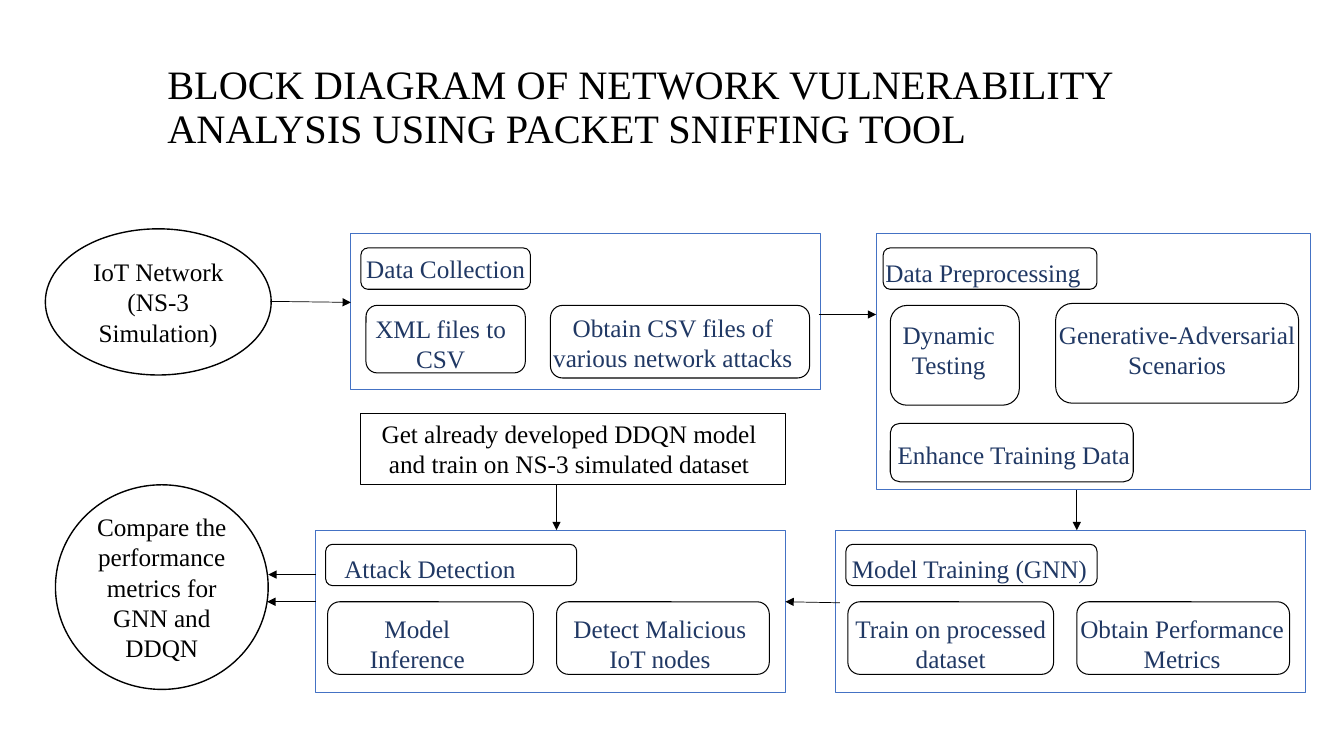
"""Build a block diagram of network vulnerability analysis."""
from lxml import etree
from pptx import Presentation, util as u
from pptx.dml.color import RGBColor
from pptx.enum import shapes as sh, text as tx
from pptx.oxml.ns import qn


class Theme:
    font = "Times New Roman"
    black = RGBColor.from_string("000000")
    white = RGBColor.from_string("FFFFFF")
    blue = RGBColor.from_string("4472C4")
    navy = RGBColor.from_string("203864")
    head = u.Pt(28.8)
    body = u.Pt(18)
    thin, line, bold = u.Pt(0.5), u.Pt(0.75), u.Pt(1)


def write(para, words, size, color):
    for i, part in enumerate(words.split("\n")):
        if i:
            para.add_line_break()
        run = para.add_run()
        run.text = part
        run.font.name, run.font.size = Theme.font, size
        run.font.color.rgb = color


def block(kind, at, edge, width, words="", color=Theme.black, shift=None):
    item = slide.shapes.add_shape(kind, *map(u.Inches, at))
    item.shadow.inherit = False
    item.fill.background()
    item.line.color.rgb, item.line.width = edge, width
    if words:
        frame = item.text_frame
        frame.vertical_anchor = tx.MSO_ANCHOR.MIDDLE
        frame.word_wrap = shift is None
        if shift:
            dx, dy = shift
            frame.margin_left = u.Inches(max(0, 2 * dx))
            frame.margin_right = u.Inches(max(0, -2 * dx))
            frame.margin_top = u.Inches(max(0, 2 * dy))
            frame.margin_bottom = u.Inches(max(0, -2 * dy))
        para = frame.paragraphs[0]
        para.alignment = tx.PP_ALIGN.CENTER
        write(para, words, Theme.body, color)
    return item


deck = Presentation()
deck.slide_width, deck.slide_height = u.Inches(13.33), u.Inches(7.5)
slide = deck.slides.add_slide(deck.slide_layouts[5])

title = slide.shapes.title
title.left, title.top = u.Inches(1.56), u.Inches(0.35)
title.width, title.height = u.Inches(10.2), u.Inches(1.45)
frame = title.text_frame
frame.word_wrap = True
frame.auto_size = tx.MSO_AUTO_SIZE.NONE
frame.vertical_anchor = tx.MSO_ANCHOR.MIDDLE
para = frame.paragraphs[0]
para.alignment, para.line_spacing = tx.PP_ALIGN.LEFT, 0.9
write(para, "BLOCK DIAGRAM OF NETWORK VULNERABILITY ANALYSIS USING PACKET SNIFFING TOOL",
      Theme.head, Theme.black)

rect, oval = sh.MSO_SHAPE.RECTANGLE, sh.MSO_SHAPE.OVAL
round_box = sh.MSO_SHAPE.ROUNDED_RECTANGLE

ovals = [
    ((0.45, 2.27, 2.24, 1.45), "IoT Network (NS-3 Simulation)"),
    ((0.55, 4.81, 2.11, 2.03), "Compare the performance metrics for GNN and DDQN"),
]
for at, words in ovals:
    item = block(oval, at, Theme.black, Theme.bold, words)
    item.fill.solid()
    item.fill.fore_color.rgb = Theme.white

panels = [
    ((3.48, 2.32, 4.66, 1.54), [
        ((3.58, 2.46, 1.68, 0.41), "Data Collection", (0, 0)),
        ((3.63, 3.03, 1.58, 0.67), "XML files to\nCSV", (-0.05, 0.04)),
        ((5.46, 3.03, 2.57, 0.72), "Obtain CSV files of\nvarious network attacks", (-0.07, 0.01)),
    ]),
    ((8.69, 2.32, 4.31, 2.54), [
        ((8.76, 2.46, 2.12, 0.41), "Data Preprocessing", (-0.07, 0.04)),
        ((8.83, 3.03, 1.28, 0.99), "Dynamic\nTesting", (-0.06, -0.06)),
        ((10.47, 3.01, 2.41, 0.99), "Generative-Adversarial\nScenarios", (0, -0.04)),
        ((8.83, 4.2, 2.41, 0.58), "Enhance Training Data", (0.02, 0.02)),
    ]),
]
lower = [
    (8.29, [("Model Training (GNN)", -0.02), ("Train on processed\ndataset", 0),
            ("Obtain Performance\nMetrics", -0.01)]),
    (3.13, [("Attack Detection", -0.21), ("Model\nInference", -0.13),
            ("Detect Malicious\nIoT nodes", -0.03)]),
]
slots = [(0.1, 5.4, 2.49, 0.41, 0.03), (0.12, 5.97, 2.04, 0.72, 0.05),
         (2.39, 5.97, 2.11, 0.72, 0.05)]
for left, labels in lower:
    steps = [((left + x, y, w, h), words, (dx, dy))
             for (x, y, w, h, dy), (words, dx) in zip(slots, labels)]
    panels.append(((left, 5.26, 4.66, 1.61), steps))

for at, steps in panels:
    block(rect, at, Theme.blue, Theme.line)
    for spot, words, shift in steps:
        block(round_box, spot, Theme.black, Theme.line, words, Theme.navy, shift)

block(rect, (3.58, 4.1, 4.21, 0.71), Theme.black, Theme.line,
      "Get already developed DDQN model\nand train on NS-3 simulated dataset",
      shift=(-0.04, -0.01))

arrows = [
    (2.68, 2.99, 3.48, 3), (8.12, 3.12, 8.69, 3.12),
    (10.68, 4.86, 10.68, 5.26), (8.33, 5.98, 7.79, 5.97),
    (5.52, 4.81, 5.52, 5.26), (3.13, 5.7, 2.66, 5.7),
    (3.13, 5.97, 2.65, 5.97),
]
for ends in arrows:
    arrow = slide.shapes.add_connector(sh.MSO_CONNECTOR.STRAIGHT, *map(u.Inches, ends))
    arrow.line.color.rgb, arrow.line.width = Theme.black, Theme.thin
    props = arrow.line._get_or_add_ln()
    etree.SubElement(props, qn("a:tailEnd"), type="triangle")
    etree.SubElement(props.getparent(), qn("a:effectLst"))

deck.save("out.pptx")
